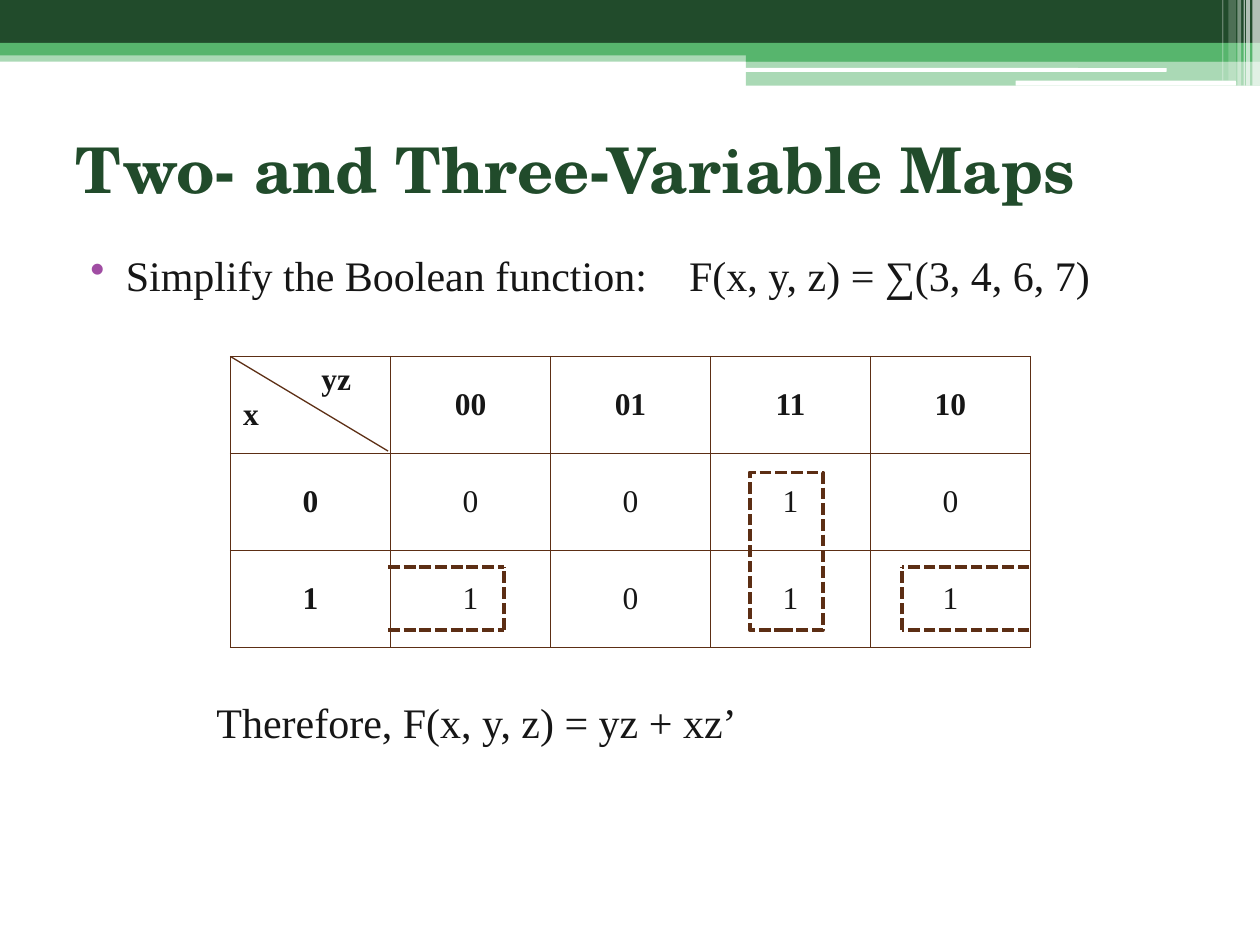
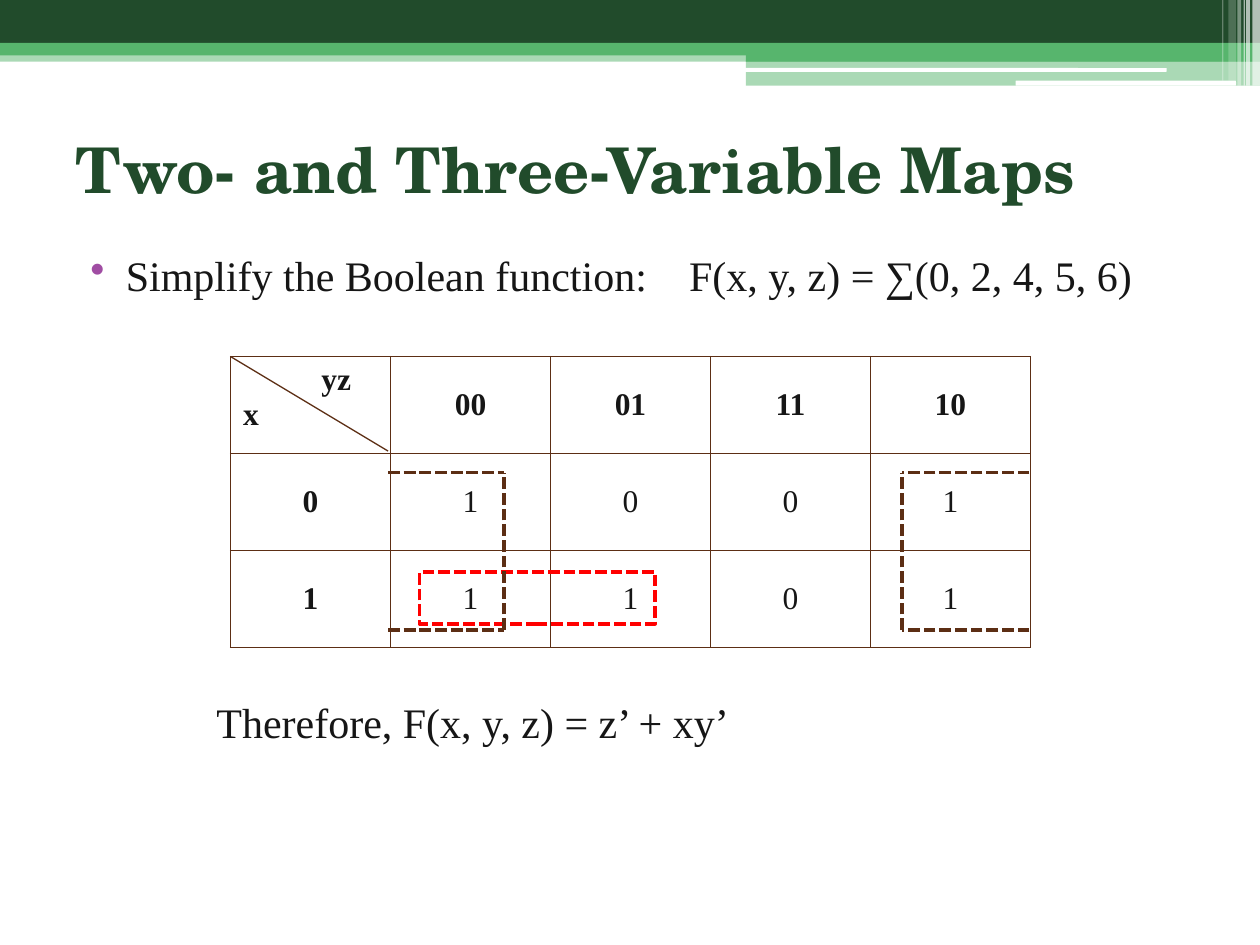
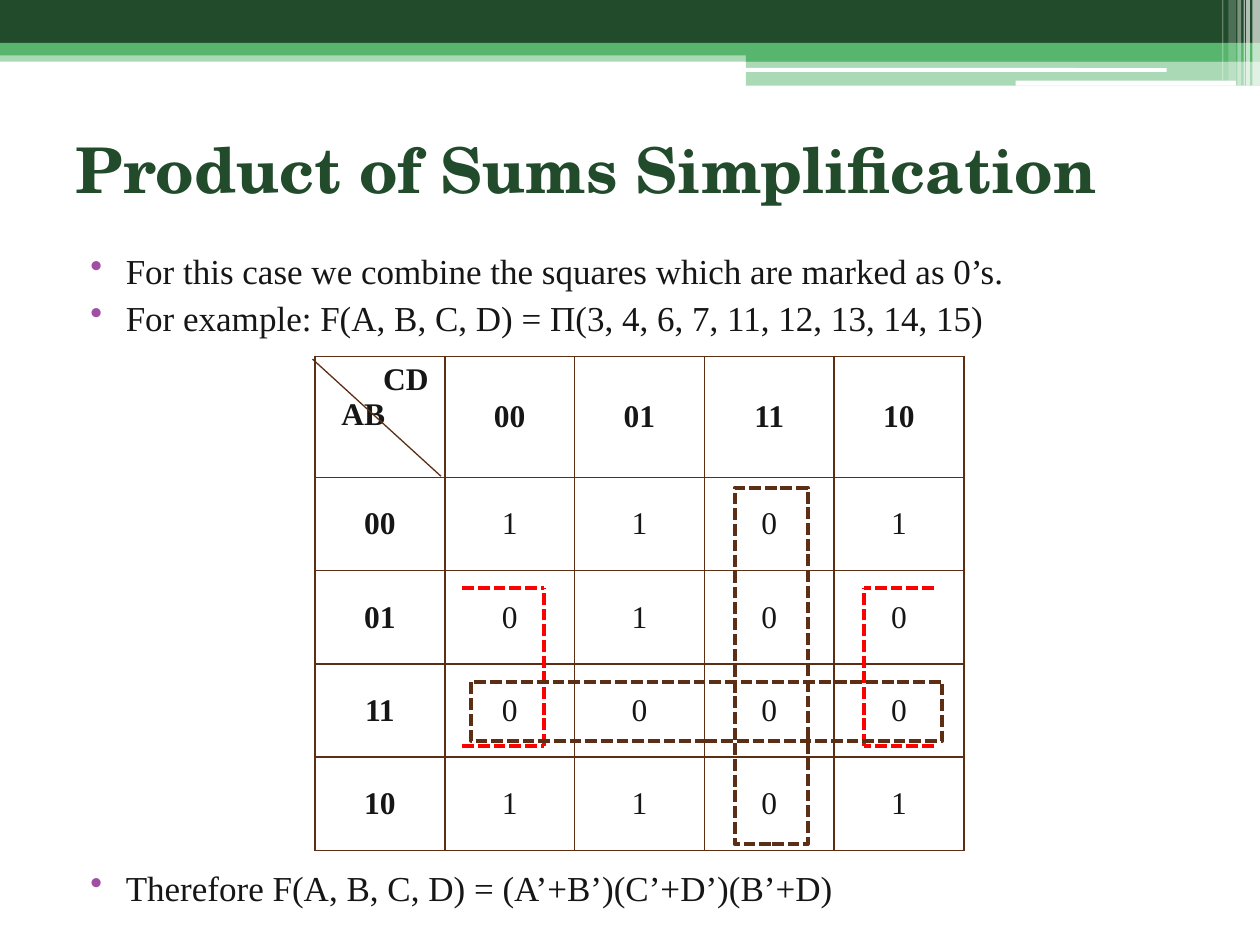
from lxml.etree import SubElement
from pptx import Presentation
from pptx.dml.color import RGBColor
from pptx.enum.dml import MSO_LINE_DASH_STYLE as Dash
from pptx.enum.shapes import MSO_CONNECTOR as Connector, MSO_SHAPE as Shape
from pptx.enum.text import MSO_ANCHOR as Anchor, PP_ALIGN as Align
from pptx.oxml import parse_xml
from pptx.oxml.ns import nsdecls, qn
from pptx.util import Inches, Pt

DARK_GREEN, GREEN, WHITE = "214B2B", "57B56D", "FFFFFF"
INK, PURPLE, BROWN, RED = "161616", "A04DA3", "5C2E14", "FF0000"
TITLE_FONT, BODY_FONT = "TeX Gyre Schola", "Times New Roman"

BANDS = [
    (0, 0.4, 10, 0.09, GREEN, 50),
    (0, 0, 10, 0.34, DARK_GREEN, 100),
    (0, 0.34, 10, 0.1, GREEN, 100),
    (5.92, 0.39, 4.08, 0.1, GREEN, 100),
    (5.92, 0.48, 4.08, 0.2, GREEN, 50),
]
PILLS = [(5.91, 0.54, 3.35, 0.03), (8.06, 0.64, 1.75, 0.04)]
STRIPES = [
    (9.94, 0.06, 0.68, 65),
    (9.89, 0.03, 0.68, 65),
    (9.87, 0.01, 0.68, 60),
    (9.82, 0.03, 0.68, 40),
    (9.75, 0.06, 0.64, 20),
    (9.7, 0.01, 0.64, 30),
]
GRAY_CODE = ["00", "01", "11", "10"]


def color(value):
    """Turn a hex string into a colour."""
    return RGBColor.from_string(value)


def write(paragraph, text, size=18, font=BODY_FONT, ink=INK, bold=False, spacing=0):
    """Add a formatted run to a paragraph."""
    run = paragraph.add_run()
    run.text = text
    run.font.size = Pt(size)
    run.font.name = font
    run.font.bold = bold
    run.font.color.rgb = color(ink)
    if spacing:
        run.font._element.set("spc", str(spacing * 100))


def indent(paragraph, left, first=0):
    """Set the left margin and first-line indent of a paragraph."""
    properties = paragraph._p.get_or_add_pPr()
    properties.set("marL", str(Inches(left)))
    properties.set("indent", str(Inches(first)))
    return properties


class Deck:
    """Hold the presentation, its style and the current slide."""

    def __init__(self):
        """Start an empty presentation."""
        self.presentation = Presentation()
        self.presentation.slide_width = Inches(10)
        self.presentation.slide_height = Inches(7.5)
        self.slide = None

    def start(self, title):
        """Add a slide with its header bands and title."""
        self.slide = self.presentation.slides.add_slide(self.presentation.slide_layouts[6])
        for left, top, width, height, fill, opacity in BANDS:
            self.block(left, top, width, height, fill, opacity)
        for place in PILLS:
            self.block(*place, WHITE, kind=Shape.ROUNDED_RECTANGLE)
        for left, width, height, opacity in STRIPES:
            self.block(left, 0, width, height, WHITE, opacity)
        frame = self.frame(0.5, 0.75, 9, 1.17)
        frame.vertical_anchor = Anchor.MIDDLE
        write(frame.paragraphs[0], title, size=36, font=TITLE_FONT, ink=DARK_GREEN, bold=True)

    def shape(self, kind, left, top, width, height):
        """Add a preset shape without shadow."""
        shape = self.slide.shapes.add_shape(
            kind, Inches(left), Inches(top), Inches(width), Inches(height))
        shape.shadow.inherit = False
        return shape

    def block(self, left, top, width, height, fill, opacity=100, kind=Shape.RECTANGLE):
        """Add a filled shape without outline."""
        shape = self.shape(kind, left, top, width, height)
        shape.fill.solid()
        shape.fill.fore_color.rgb = color(fill)
        shape.line.fill.background()
        if opacity < 100:
            tint = shape.fill._xPr.find(".//" + qn("a:srgbClr"))
            SubElement(tint, qn("a:alpha"), val=str(opacity * 1000))

    def frame(self, left, top, width, height):
        """Add a wrapping text box and return its text frame."""
        box = self.slide.shapes.add_textbox(
            Inches(left), Inches(top), Inches(width), Inches(height))
        box.text_frame.word_wrap = True
        return box.text_frame

    def body(self, height, lines):
        """Add the body text from (parts, size, space before, bulleted) lines."""
        frame = self.frame(0.5, 1.93, 9, height)
        for number, (parts, size, space, bulleted) in enumerate(lines):
            paragraph = frame.add_paragraph() if number else frame.paragraphs[0]
            paragraph.space_before = Pt(space)
            if bulleted:
                properties = indent(paragraph, 0.4, -0.28)
                tint = SubElement(properties, qn("a:buClr"))
                SubElement(tint, qn("a:srgbClr"), val=PURPLE)
                SubElement(properties, qn("a:buChar"), char="•")
            else:
                indent(paragraph, 1.12)
            for part in parts:
                write(paragraph, part, size=size, spacing=18 if part == " " else 0)

    def map(self, left, column, heights, corner, labels, values):
        """Add a Karnaugh map as a table."""
        grid = self.slide.shapes.add_table(
            len(heights), 5, Inches(left), Inches(2.83),
            Inches(column * 5), Inches(sum(heights))).table
        grid.first_row = grid.horz_banding = False
        for each in grid.columns:
            each.width = Inches(column)
        for row, height in zip(grid.rows, heights):
            row.height = Inches(height)
        rows = [[""] + GRAY_CODE] + [[label, *bits] for label, bits in zip(labels, values)]
        for y, row in enumerate(rows):
            for x, text in enumerate(row):
                cell = grid.cell(y, x)
                self.border(cell)
                if x or y:
                    cell.vertical_anchor = Anchor.MIDDLE
                    paragraph = cell.text_frame.paragraphs[0]
                    paragraph.alignment = Align.CENTER
                    write(paragraph, text, bold=x == 0 or y == 0)
        frame = grid.cell(0, 0).text_frame
        for paragraph, (text, margin) in zip((frame.paragraphs[0], frame.add_paragraph()), corner):
            indent(paragraph, margin)
            write(paragraph, text, bold=True)

    def border(self, cell):
        """Clear the fill of a cell and outline its four sides."""
        cell.fill.background()
        properties = cell._tc.get_or_add_tcPr()
        for number, side in enumerate("LRTB"):
            properties.insert(number, parse_xml(
                f'<a:ln{side} {nsdecls("a")} w="{Pt(1)}"><a:solidFill>'
                f'<a:srgbClr val="{BROWN}"/></a:solidFill></a:ln{side}>'))

    def line(self, x1, y1, x2, y2):
        """Add a thin diagonal or other straight line."""
        connector = self.slide.shapes.add_connector(
            Connector.STRAIGHT, Inches(x1), Inches(y1), Inches(x2), Inches(y2))
        SubElement(connector._element.spPr, qn("a:effectLst"))
        connector.line.color.rgb = color(BROWN)
        connector.line.width = Pt(0.75)
        return connector

    def dash(self, line, ink):
        """Give a line the dashed style of a group."""
        line.color.rgb = color(ink)
        line.width = Pt(2.25)
        line.dash_style = Dash.SQUARE_DOT

    def loop(self, left, top, width, height, ink=BROWN):
        """Add a closed dashed group."""
        shape = self.shape(Shape.RECTANGLE, left, top, width, height)
        shape.fill.background()
        self.dash(shape.line, ink)

    def bracket(self, side, end, top, bottom, ink=BROWN):
        """Add a dashed group that is open at one end."""
        for points in ((end, top, side, top), (end, bottom, side, bottom),
                       (side, bottom, side, top)):
            self.dash(self.line(*points).line, ink)

    def three_variables(self, minterms, values, result):
        """Add a slide with a three-variable map."""
        self.start("Two- and Three-Variable Maps")
        question = ["Simplify the Boolean function:", " ", f"F(x, y, z) = ∑({minterms})"]
        self.body(5.15, [(question, 24, 3, True),
                         ([f"Therefore, F(x, y, z) = {result}"], 24, 226.7, False)])
        self.map(1.83, 1.27, [0.77] * 3, [("yz", 0.62), ("x", 0)], "01", values)
        self.line(1.83, 2.83, 3.08, 3.58)

    def wrap_around(self, sides, ends, top, bottom, ink=BROWN):
        """Add the two open halves of a group that wraps around the map."""
        for side, end in zip(sides, ends):
            self.bracket(side, end, top, bottom, ink)


def main():
    """Build the three slides."""
    deck = Deck()
    sides, ends = (4, 7.16), (3.08, 8.17)

    deck.three_variables("3, 4, 6, 7", ["0010", "1011"], "yz + xz’")
    deck.loop(5.95, 3.75, 0.58, 1.25)
    deck.wrap_around(sides, ends, 4.5, 5)

    deck.three_variables("0, 2, 4, 5, 6", ["1001", "1101"], "z’ + xy’")
    deck.loop(3.33, 4.54, 1.87, 0.41, RED)
    deck.wrap_around(sides, ends, 3.75, 5)

    deck.start("Product of Sums Simplification")
    deck.body(5.4, [
        (["For this case we combine the squares which are marked as 0’s."], 20, 3, True),
        (["For example: F(A, B, C, D) = Π(3, 4, 6, 7, 11, 12, 13, 14, 15)"], 20, 3, True),
        (["Therefore F(A, B, C, D) = (A’+B’)(C’+D’)(B’+D)"], 20, 301.6, True),
    ])
    deck.map(2.5, 1.03, [0.96] + [0.74] * 4, [("CD", 0.44), ("AB", 0.11)],
             GRAY_CODE, ["1101", "0100", "0000", "1101"])
    deck.line(2.48, 2.85, 3.5, 3.78)
    deck.loop(5.83, 3.87, 0.58, 2.83)
    deck.wrap_around((4.32, 6.86), (3.67, 7.41), 4.67, 5.92, RED)
    deck.loop(3.74, 5.41, 3.74, 0.47)

    deck.presentation.save("out.pptx")


if __name__ == "__main__":
    main()
